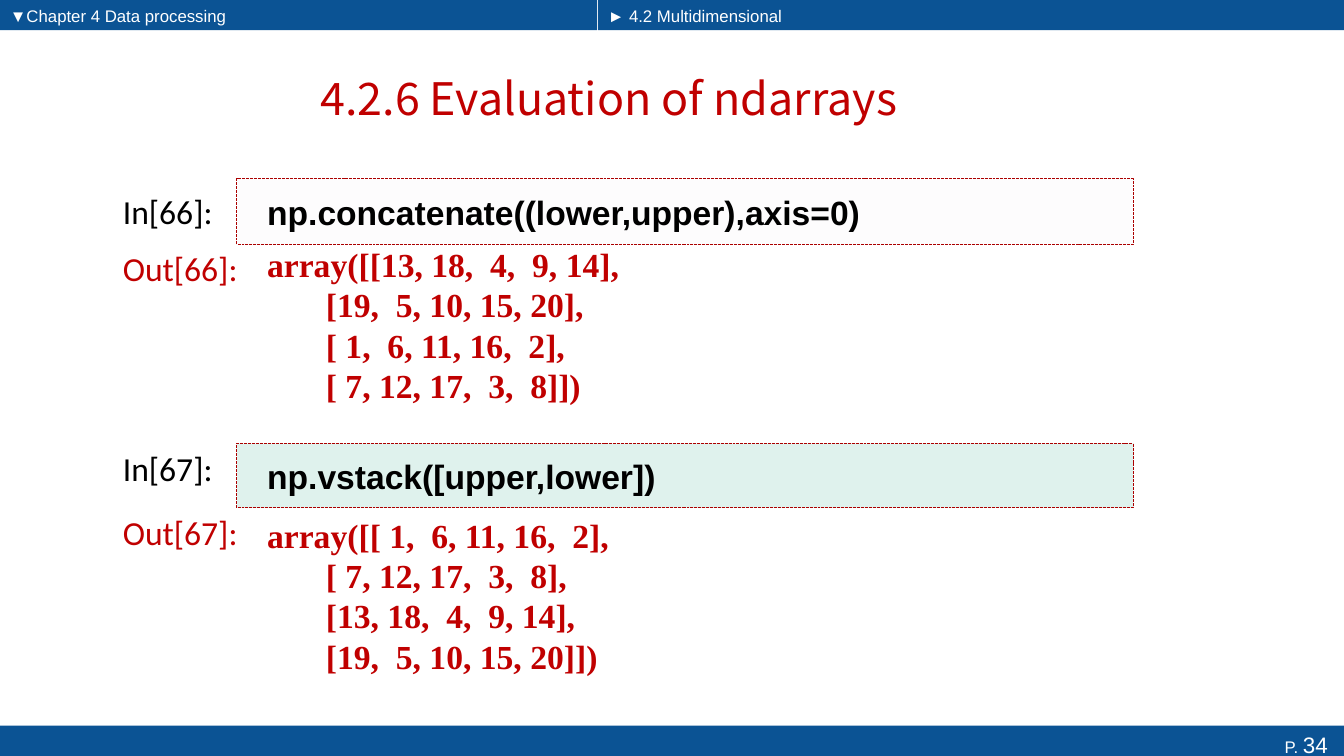
from dataclasses import dataclass

from lxml import etree
from pptx import Presentation
from pptx.dml.color import RGBColor
from pptx.enum.dml import MSO_LINE
from pptx.enum.shapes import MSO_SHAPE
from pptx.enum.text import MSO_ANCHOR, PP_ALIGN
from pptx.oxml.ns import qn
from pptx.util import Inches, Pt


@dataclass(frozen=True)
class Theme:
    bar: str = "0B5394"
    bar_text: str = "FFFFFF"
    accent: str = "C00000"
    ink: str = "000000"
    border: str = "AB0000"
    gray_tint: str = "F1EEF4"
    green_tint: str = "0C9B74"
    tint_opacity: int = 13
    title_size: float = 32
    body_size: float = 24
    page_size: float = 16
    small_size: float = 12
    output_spacing: float = 28.8
    title_font: str = "Noto Sans CJK SC"
    label_font: str = "Calibri"
    code_font: str = "Arial"
    output_font: str = "Times New Roman"


class NotebookSlide:
    def __init__(self, slide, theme):
        self.slide = slide
        self.theme = theme

    def style(self, font, name, size, color, bold=False):
        font.name = name
        font.size = Pt(size)
        font.bold = bold
        font.color.rgb = RGBColor.from_string(color)

    def rectangle(self, left, top, width, height, fill):
        shape = self.slide.shapes.add_shape(
            MSO_SHAPE.RECTANGLE, Inches(left), Inches(top), Inches(width), Inches(height))
        shape.shadow.inherit = False
        shape.fill.solid()
        shape.fill.fore_color.rgb = RGBColor.from_string(fill)
        shape.line.fill.background()
        return shape

    def set_text(self, shape, text, font, size, color, bold=False,
                 align=PP_ALIGN.LEFT, anchor=MSO_ANCHOR.TOP, inset=0.1, line_spacing=None):
        """Fill a shape with text, one paragraph per line."""
        frame = shape.text_frame
        frame.text = text
        frame.word_wrap = True
        frame.vertical_anchor = anchor
        frame.margin_left = Inches(inset)
        for paragraph in frame.paragraphs:
            paragraph.alignment = align
            if line_spacing:
                paragraph.line_spacing = Pt(line_spacing)
            for run in paragraph.runs:
                self.style(run.font, font, size, color, bold)

    def text(self, left, top, width, height, *content, **options):
        box = self.slide.shapes.add_textbox(
            Inches(left), Inches(top), Inches(width), Inches(height))
        self.set_text(box, *content, **options)
        return box

    def header(self, left, width, text):
        theme = self.theme
        self.rectangle(left, 0, width, 0.3, theme.bar)
        box = self.text(left, 0, width, 0.29, text,
                        theme.code_font, theme.small_size, theme.bar_text)
        box.text_frame.margin_top = Inches(0.06)

    def footer(self, number):
        theme = self.theme
        bar = self.rectangle(0, 7.2, 13.33, 0.37, theme.bar)
        self.set_text(bar, "P. ", theme.code_font, theme.small_size, theme.bar_text,
                      align=PP_ALIGN.RIGHT)
        run = bar.text_frame.paragraphs[0].add_run()
        run.text = f"{number} "
        self.style(run.font, theme.code_font, theme.page_size, theme.bar_text)

    def title(self, text):
        theme = self.theme
        self.text(0.68, 0.52, 10.72, 0.9, text, theme.title_font, theme.title_size,
                  theme.accent, align=PP_ALIGN.CENTER, anchor=MSO_ANCHOR.MIDDLE)

    def label(self, top, text, color):
        self.text(1.12, top, 1.54, 0.5, text,
                  self.theme.label_font, self.theme.body_size, color)

    def code(self, top, height, text, tint):
        """Draw one input cell: a translucent box with a dashed border."""
        theme = self.theme
        box = self.rectangle(2.35, top, 8.89, height, tint)
        fill_color = box.element.spPr.find(qn("a:solidFill"))[0]
        etree.SubElement(fill_color, qn("a:alpha"), val=str(theme.tint_opacity * 1000))
        box.line.color.rgb = RGBColor.from_string(theme.border)
        box.line.width = Pt(0.7)
        box.line.dash_style = MSO_LINE.SQUARE_DOT
        self.set_text(box, text, theme.code_font, theme.body_size, theme.ink, bold=True,
                      anchor=MSO_ANCHOR.MIDDLE, inset=0.3)

    def output(self, top, height, lines):
        theme = self.theme
        self.text(2.35, top, 8.74, height, "\n".join(lines), theme.output_font,
                  theme.body_size, theme.accent, bold=True, anchor=MSO_ANCHOR.MIDDLE,
                  inset=0.3, line_spacing=theme.output_spacing)


def main():
    presentation = Presentation()
    presentation.slide_width = Inches(13.33)
    presentation.slide_height = Inches(7.5)
    theme = Theme()
    page = NotebookSlide(
        presentation.slides.add_slide(presentation.slide_layouts[6]), theme)

    page.header(0, 5.92, "▼Chapter 4 Data processing")
    page.header(5.93, 7.4, "► 4.2 Multidimensional")
    page.footer(34)
    page.title("4.2.6 Evaluation of ndarrays")

    page.label(1.84, "In[66]:", theme.ink)
    page.code(1.77, 0.66, "np.concatenate((lower,upper),axis=0)", theme.gray_tint)
    page.label(2.41, "Out[66]:", theme.accent)
    page.output(2.33, 1.78, [
        "array([[13, 18,  4,  9, 14],",
        "       [19,  5, 10, 15, 20],",
        "       [ 1,  6, 11, 16,  2],",
        "       [ 7, 12, 17,  3,  8]])",
    ])

    page.label(4.39, "In[67]:", theme.ink)
    page.code(4.4, 0.64, "np.vstack([upper,lower])", theme.green_tint)
    page.label(5.03, "Out[67]:", theme.accent)
    page.output(4.87, 2.07, [
        "array([[ 1,  6, 11, 16,  2],",
        "       [ 7, 12, 17,  3,  8],",
        "       [13, 18,  4,  9, 14],",
        "       [19,  5, 10, 15, 20]])",
    ])
    presentation.save("out.pptx")


if __name__ == "__main__":
    main()
